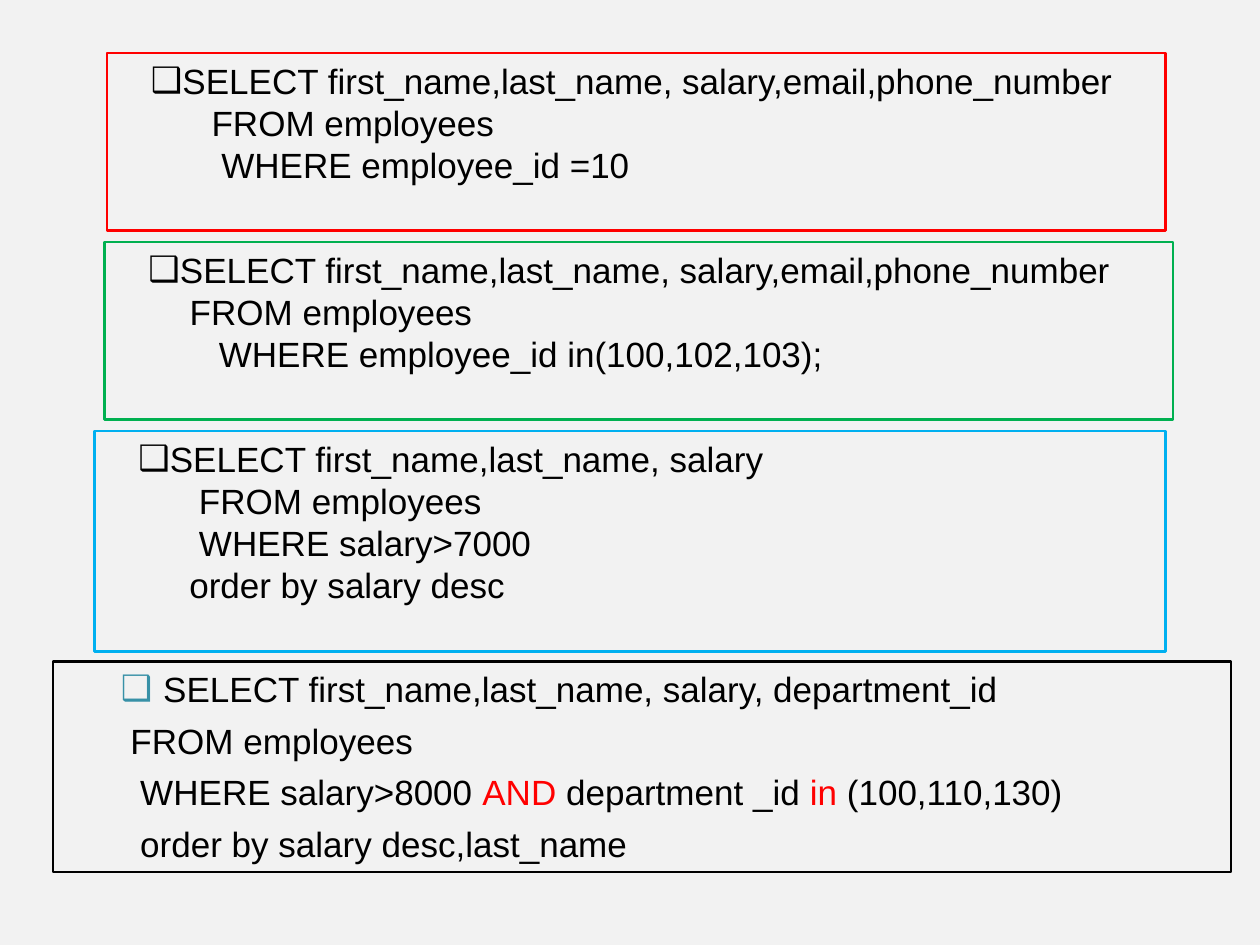
import pptx
import pptx.dml.color
import pptx.enum.shapes
import pptx.enum.text
import pptx.oxml
import pptx.oxml.ns
import pptx.util
from pptx.util import Inches

COLORS = {
    "background": "F2F2F2",
    "text": "000000",
    "keyword": "FF0000",
    "bullet": "3891A7",
    "red": "FF0000",
    "green": "00B050",
    "blue": "00B0F0",
    "black": "000000",
}


def rgb(name):
    return pptx.dml.color.RGBColor.from_string(COLORS[name])


class QuerySlide:
    font_name = "Arial"
    font_size = pptx.util.Pt(20)
    border_width = pptx.util.Pt(1.5)

    def __init__(self, presentation):
        self.slide = presentation.slides.add_slide(presentation.slide_layouts[6])
        fill = self.slide.background.fill
        fill.solid()
        fill.fore_color.rgb = rgb("background")

    def bullet(self, paragraph, color):
        """Put a hollow square in front of the paragraph."""
        ns = pptx.oxml.ns.nsdecls("a")
        properties = paragraph._p.get_or_add_pPr()
        for element in (
            f'<a:buClr {ns}><a:srgbClr val="{COLORS[color]}"/></a:buClr>',
            f'<a:buFont {ns} typeface="{self.font_name}"/>',
            f'<a:buChar {ns} char="❑"/>',
        ):
            properties.append(pptx.oxml.parse_xml(element))

    def run(self, paragraph, text, color="text"):
        run = paragraph.add_run()
        run.text = text
        run.font.name = self.font_name
        run.font.size = self.font_size
        run.font.color.rgb = rgb(color)

    def query(self, place, border, lines, margin=0.5, hanging=-0.25,
              hang_all=False, gap=0, bullet_color="text"):
        """Draw a framed query; each line is a list of (text, colour) runs."""
        box = self.slide.shapes.add_shape(
            pptx.enum.shapes.MSO_SHAPE.RECTANGLE, *map(Inches, place))
        box.shadow.inherit = False
        box.fill.background()
        box.line.color.rgb = rgb(border)
        box.line.width = self.border_width

        frame = box.text_frame
        frame.word_wrap = True
        frame.vertical_anchor = pptx.enum.text.MSO_ANCHOR.TOP
        for index, runs in enumerate(lines):
            first = index == 0
            paragraph = frame.paragraphs[0] if first else frame.add_paragraph()
            paragraph.alignment = pptx.enum.text.PP_ALIGN.LEFT
            paragraph.level = 1
            properties = paragraph._p.get_or_add_pPr()
            indent = hanging if first or hang_all else 0
            properties.set("marL", str(Inches(margin)))
            properties.set("indent", str(Inches(indent)))
            if first:
                self.bullet(paragraph, bullet_color)
            else:
                paragraph.space_before = pptx.util.Pt(gap)
            for run in runs:
                self.run(paragraph, *run)


def main():
    presentation = pptx.Presentation()
    presentation.slide_width = Inches(10)
    presentation.slide_height = Inches(7.5)
    page = QuerySlide(presentation)

    # Query with several conditions
    page.query((0.42, 5.25, 9.35, 1.67), "black", [
        [(" SELECT first_name,last_name, salary, department_id",)],
        [(" FROM employees",)],
        [("  WHERE salary>8000 ",), ("AND", "keyword"), (" department _id ",),
         ("in", "keyword"), (" (100,110,130)",)],
        [("  order by salary desc,last_name",)],
    ], margin=0.7, hanging=-0.26, hang_all=True, gap=5.5, bullet_color="bullet")

    # Simple queries: by key, by list, by range
    contact_columns = "SELECT first_name,last_name, salary,email,phone_number"
    simple_queries = [
        ((0.85, 0.42, 8.4, 1.41), "red",
         [contact_columns, "   FROM employees", "    WHERE employee_id =10"]),
        ((0.83, 1.92, 8.48, 1.41), "green",
         [contact_columns, " FROM employees",
          "    WHERE employee_id in(100,102,103);"]),
        ((0.75, 3.42, 8.5, 1.75), "blue",
         ["SELECT first_name,last_name, salary", "   FROM employees",
          "   WHERE salary>7000", "  order by salary desc"]),
    ]
    for place, border, lines in simple_queries:
        page.query(place, border, [[(line,)] for line in lines])

    presentation.save("out.pptx")


if __name__ == "__main__":
    main()
